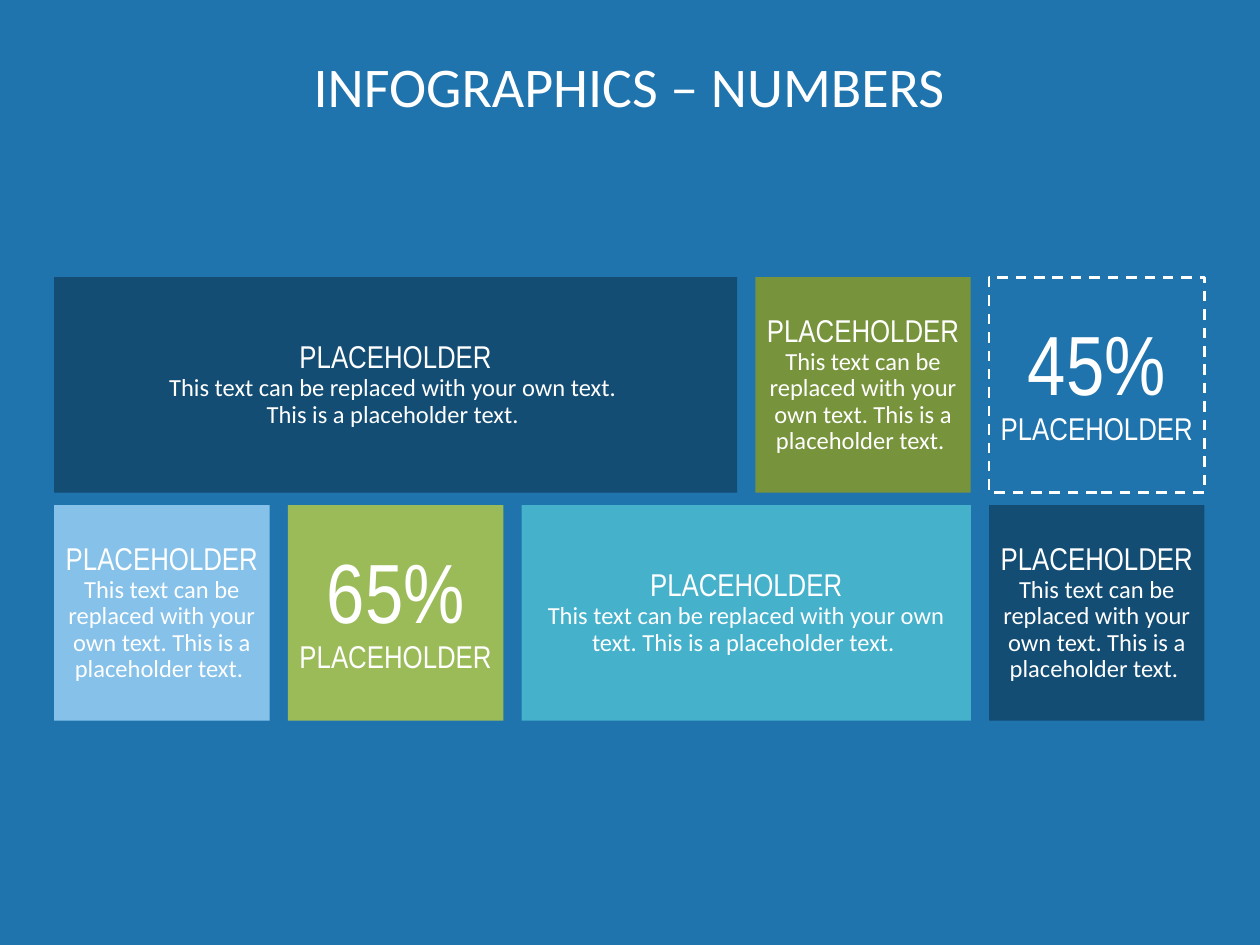
from dataclasses import dataclass
from typing import Optional

import pptx
import pptx.dml.color
import pptx.enum.dml
import pptx.enum.shapes
import pptx.enum.text
import pptx.util
from pptx.dml.color import RGBColor
from pptx.util import Inches

BACKGROUND = RGBColor(0x1F, 0x74, 0xAD)
WHITE = RGBColor(0xFF, 0xFF, 0xFF)
NAVY = RGBColor(0x14, 0x4D, 0x73)
SKY = RGBColor(0x85, 0xC1, 0xE9)
LIME = RGBColor(0x9B, 0xBB, 0x59)
TEAL = RGBColor(0x45, 0xB1, 0xCB)
OLIVE = RGBColor(0x77, 0x93, 0x3C)

HEADING_FONT = "Arial Narrow"
BODY_FONT = "Calibri"

GRID_LEFT, GRID_TOP = 0.43, 2.2
TILE_SIZE = 1.71
COLUMN_GAP, ROW_GAP = 0.145, 0.1
TILE_INSET = 0.08


@dataclass(frozen=True)
class TextRun:
    text: str
    size: int
    font: str = HEADING_FONT


@dataclass(frozen=True)
class Tile:
    row: int
    column: int
    span: int
    fill: Optional[RGBColor]
    lines: tuple[TextRun, ...]


LABEL = TextRun("PLACEHOLDER", 18)
FIRST_SENTENCE = "This text can be replaced with your own text. "
SECOND_SENTENCE = "This is a placeholder text. "
DESCRIPTION = (LABEL, TextRun(FIRST_SENTENCE + SECOND_SENTENCE, 14, BODY_FONT))
SPLIT_DESCRIPTION = (
    LABEL,
    TextRun(FIRST_SENTENCE, 14, BODY_FONT),
    TextRun(SECOND_SENTENCE, 14, BODY_FONT),
)

TILES = (
    Tile(0, 0, 3, NAVY, SPLIT_DESCRIPTION),
    Tile(1, 0, 1, SKY, DESCRIPTION),
    Tile(1, 1, 1, LIME, (TextRun("65%", 48), LABEL)),
    Tile(1, 2, 2, TEAL, DESCRIPTION),
    Tile(0, 3, 1, OLIVE, DESCRIPTION),
    Tile(0, 4, 1, None, (TextRun("45%", 48), LABEL)),
    Tile(1, 4, 1, NAVY, DESCRIPTION),
)


def fill_text(
    text_frame: pptx.text.text.TextFrame,
    lines: tuple[TextRun, ...],
    inset: float,
    anchor: pptx.enum.text.MSO_ANCHOR,
) -> None:
    text_frame.word_wrap = True
    text_frame.auto_size = pptx.enum.text.MSO_AUTO_SIZE.NONE
    text_frame.vertical_anchor = anchor
    text_frame.margin_left = text_frame.margin_right = Inches(inset)
    text_frame.margin_top = text_frame.margin_bottom = Inches(inset)
    paragraph = text_frame.paragraphs[0]
    paragraph.alignment = pptx.enum.text.PP_ALIGN.CENTER
    paragraph.line_spacing = 0.9
    for index, line in enumerate(lines):
        if index:
            paragraph.add_line_break()
        run = paragraph.add_run()
        run.text = line.text
        run.font.size = pptx.util.Pt(line.size)
        run.font.name = line.font
        run.font.color.rgb = WHITE


def add_title(slide: pptx.slide.Slide) -> None:
    title = slide.shapes.title
    title.left, title.top = Inches(0.43), Inches(0.47)
    title.width, title.height = Inches(9.13), Inches(1.18)
    fill_text(
        title.text_frame,
        (TextRun("INFOGRAPHICS – NUMBERS", 32, BODY_FONT),),
        0,
        pptx.enum.text.MSO_ANCHOR.TOP,
    )


def add_tile(slide: pptx.slide.Slide, tile: Tile) -> None:
    shape = slide.shapes.add_shape(
        pptx.enum.shapes.MSO_SHAPE.RECTANGLE,
        Inches(GRID_LEFT + tile.column * (TILE_SIZE + COLUMN_GAP)),
        Inches(GRID_TOP + tile.row * (TILE_SIZE + ROW_GAP)),
        Inches(tile.span * TILE_SIZE + (tile.span - 1) * COLUMN_GAP),
        Inches(TILE_SIZE),
    )
    shape.shadow.inherit = False
    if tile.fill is None:
        shape.fill.background()
        shape.line.color.rgb = WHITE
        shape.line.width = pptx.util.Pt(1.5)
        shape.line.dash_style = pptx.enum.dml.MSO_LINE.DASH
    else:
        shape.fill.solid()
        shape.fill.fore_color.rgb = tile.fill
        shape.line.fill.background()
    fill_text(
        shape.text_frame, tile.lines, TILE_INSET, pptx.enum.text.MSO_ANCHOR.MIDDLE
    )


def main() -> None:
    presentation = pptx.Presentation()
    presentation.slide_width = Inches(10)
    presentation.slide_height = Inches(7.5)
    slide = presentation.slides.add_slide(presentation.slide_layouts[5])
    slide.background.fill.solid()
    slide.background.fill.fore_color.rgb = BACKGROUND
    add_title(slide)
    for tile in TILES:
        add_tile(slide, tile)
    presentation.save("out.pptx")


if __name__ == "__main__":
    main()
